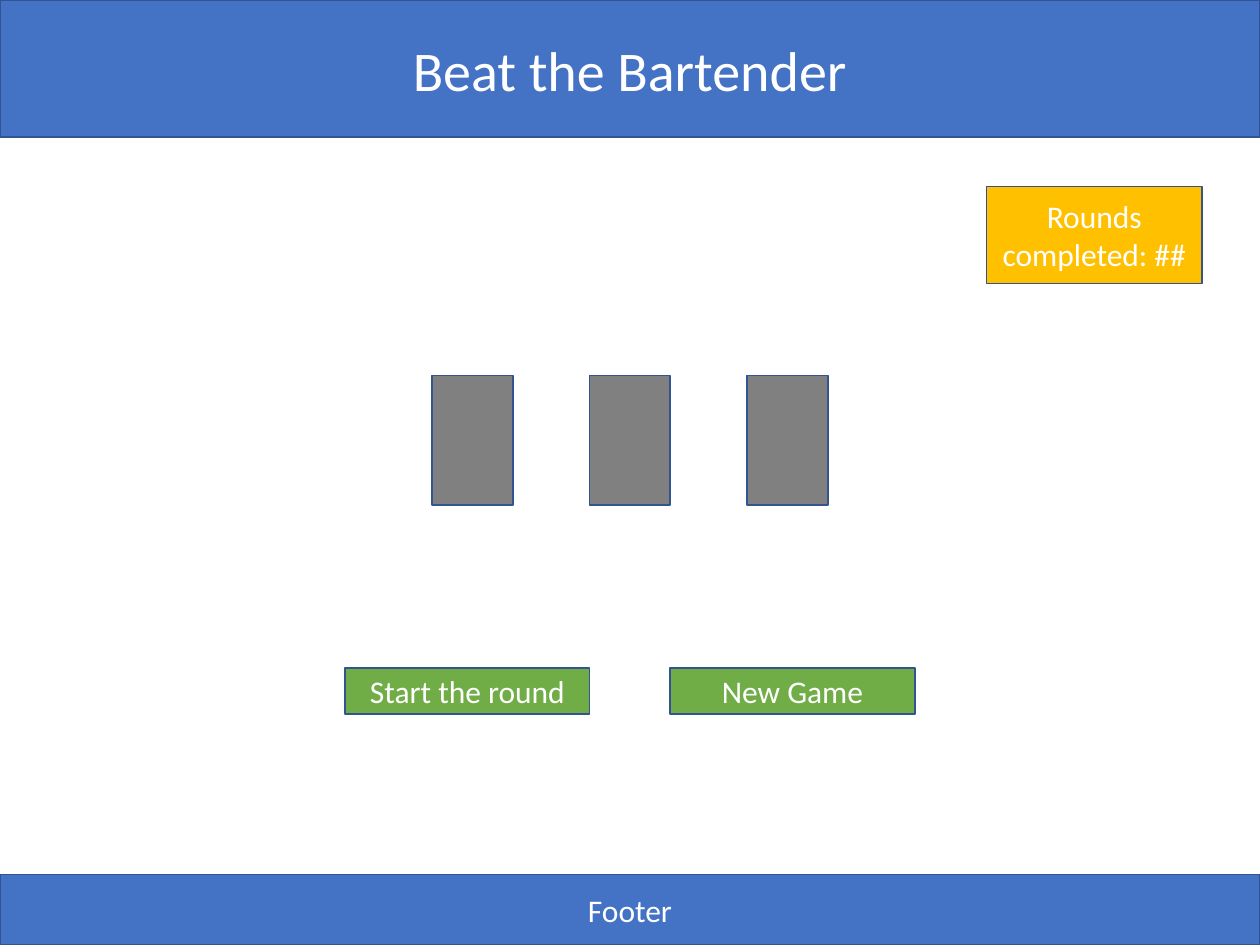
from pptx import Presentation
from pptx.dml.color import RGBColor
from pptx.enum.shapes import MSO_SHAPE as Shape
from pptx.enum.text import MSO_ANCHOR as Anchor, PP_ALIGN as Align
from pptx.util import Inches, Pt

COLS, ROWS = 10, 7.5


def tint(code):
    return RGBColor.from_string(code)


class Page:
    font = "Calibri"
    ink = "FFFFFF"
    edge = "325491"
    blue = "4472C4"
    gray = "808080"
    green = "70AD47"
    gold = "FFC000"

    def __init__(self, deck):
        self.slide = deck.slides.add_slide(deck.slide_layouts[6])

    def box(self, col, row, wide, high, fill, text="", size=18):
        shape = self.slide.shapes.add_shape(
            Shape.RECTANGLE, Inches(col), Inches(row), Inches(wide), Inches(high))
        shape.shadow.inherit = False
        shape.fill.solid()
        shape.fill.fore_color.rgb = tint(fill)
        shape.line.color.rgb = tint(self.edge)
        shape.line.width = Pt(1)
        if text:
            self.label(shape.text_frame, text, size)

    def label(self, frame, text, size):
        frame.word_wrap = True
        frame.vertical_anchor = Anchor.MIDDLE
        para = frame.paragraphs[0]
        para.text = text
        para.alignment = Align.CENTER
        para.font.name = self.font
        para.font.size = Pt(size)
        para.font.color.rgb = tint(self.ink)

    def band(self, row, high, text, size=18):
        self.box(0, row, COLS, high, self.blue, text, size)

    def series(self, row, wide, high, step, fill, texts):
        start = (COLS - wide - step * (len(texts) - 1)) / 2
        for i, text in enumerate(texts):
            self.box(start + i * step, row, wide, high, fill, text)


def main():
    deck = Presentation()
    deck.slide_width, deck.slide_height = Inches(COLS), Inches(ROWS)
    page = Page(deck)
    page.band(0, 1.09, "Beat the Bartender", 32)
    page.band(ROWS - 0.56, 0.56, "Footer")
    page.series(2.98, 0.64, 1.03, 1.25, page.gray, [""] * 3)
    page.series(5.3, 1.94, 0.37, 2.58, page.green, ["Start the round", "New Game"])
    page.box(7.83, 1.48, 1.71, 0.77, page.gold, "Rounds completed: ##")
    deck.save("out.pptx")


if __name__ == "__main__":
    main()
